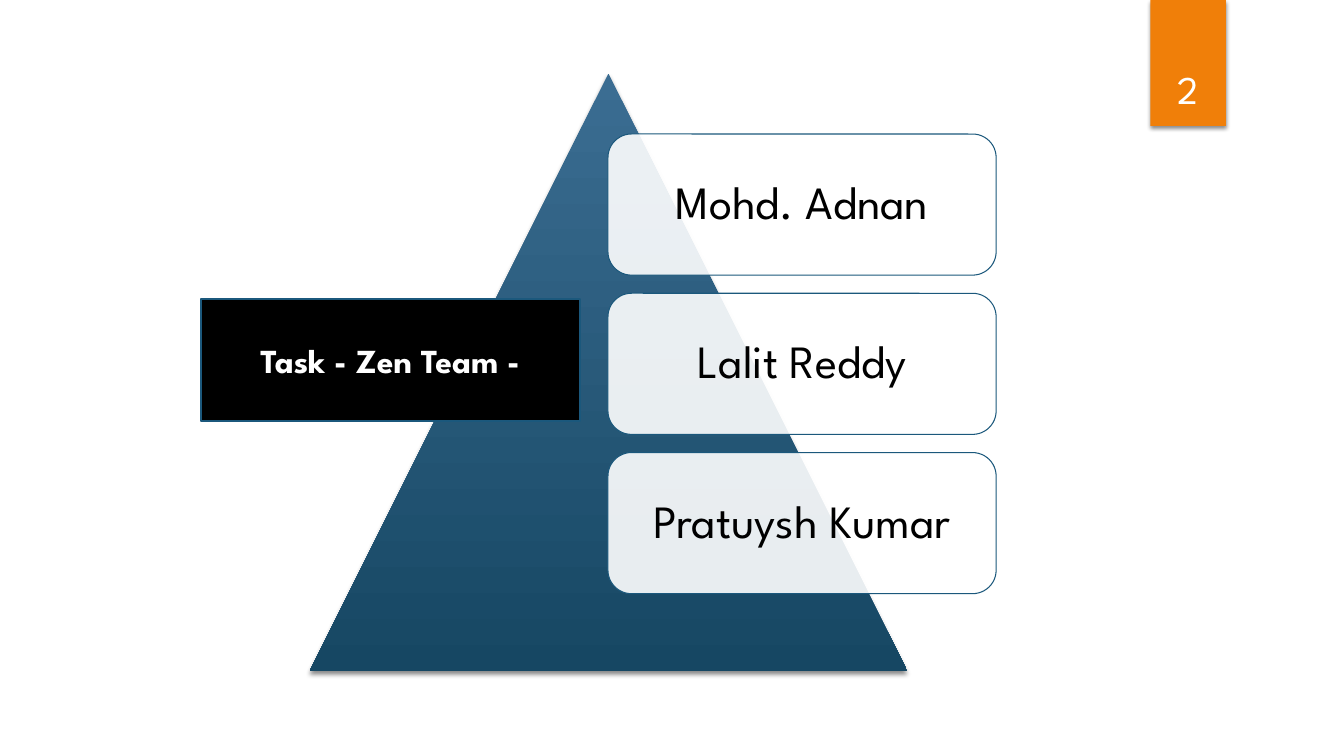
"""Build the Zen Team slide: a pyramid with three members and a task label."""
from lxml import etree
from pptx import Presentation
from pptx.dml.color import RGBColor
from pptx.enum.shapes import MSO_SHAPE as Preset
from pptx.enum.text import MSO_ANCHOR as Anchor, PP_ALIGN as Align
from pptx.oxml import parse_xml
from pptx.oxml.ns import nsdecls, qn
from pptx.util import Inches, Pt

MEMBERS = ["Mohd. Adnan", "Lalit Reddy", "Pratuysh Kumar"]
TASK = "Task - Zen Team -"
PAGE_NUMBER = "2"
FONT = "League Spartan"
COLORS = {
    "orange": "F07F09",
    "peak": "3B6D92",
    "base": "164763",
    "outline": "1B587C",
    "purple": "604878",
    "white": "FFFFFF",
    "black": "000000",
}
RIBBON = (11.41, 0, 0.75, 1.25)
NUMBER_BOX = (11.32, 0.32, 0.92, 0.84)
PYRAMID = (3.07, 0.73, 5.93, 5.93)
TASK_BOX = (1.99, 2.97, 3.76, 1.21)
CARD_LEFT, CARD_TOP, CARD_WIDTH, CARD_HEIGHT = 6.03, 1.33, 3.85, 1.4
CARD_PITCH = 1.58


def rgb(name):
    return RGBColor.from_string(COLORS[name])


def add_box(slide, preset, box, fill=None, line_width=None):
    shape = slide.shapes.add_shape(preset, *map(Inches, box))
    shape.shadow.inherit = False
    if fill:
        shape.fill.solid()
        shape.fill.fore_color.rgb = rgb(fill)
    if line_width:
        shape.line.color.rgb = rgb("outline")
        shape.line.width = Pt(line_width)
    else:
        shape.line.fill.background()
    return shape


def add_shadow(shape):
    effects = shape.element.spPr.find(qn("a:effectLst"))
    effects.append(parse_xml(
        f'<a:outerShdw {nsdecls("a")} blurRad="{Pt(3)}" dist="{Pt(2)}" dir="5400000" rotWithShape="0">'
        f'<a:srgbClr val="{COLORS["black"]}"><a:alpha val="45000"/></a:srgbClr></a:outerShdw>'))


def write(shape, text, size, color, anchor=Anchor.MIDDLE):
    frame = shape.text_frame
    frame.text = text
    frame.word_wrap = True
    frame.vertical_anchor = anchor
    paragraph = frame.paragraphs[0]
    paragraph.alignment = Align.CENTER
    font = paragraph.runs[0].font
    font.name = FONT
    font.size = Pt(size)
    font.color.rgb = rgb(color)
    return paragraph


def add_pyramid(slide):
    pyramid = add_box(slide, Preset.ISOSCELES_TRIANGLE, PYRAMID)
    pyramid.fill.gradient()
    pyramid.fill.gradient_angle = 270
    for stop, position, name in zip(pyramid.fill.gradient_stops, (0, 1), ("peak", "base")):
        stop.position = position
        stop.color.rgb = rgb(name)
    add_shadow(pyramid)


def add_card(slide, index, member):
    box = (CARD_LEFT, CARD_TOP + index * CARD_PITCH, CARD_WIDTH, CARD_HEIGHT)
    card = add_box(slide, Preset.ROUNDED_RECTANGLE, box, "white", 0.75)
    color = card.element.spPr.find(qn("a:solidFill")).find(qn("a:srgbClr"))
    etree.SubElement(color, qn("a:alpha")).set("val", "90000")
    paragraph = write(card, member, 33, "black")
    paragraph.line_spacing = 0.9
    paragraph.space_after = Pt(11.5)
    frame = card.text_frame
    frame.margin_left = frame.margin_right = Inches(0.14)
    frame.margin_top = frame.margin_bottom = Inches(0.14)


def add_task(slide):
    label = add_box(slide, Preset.RECTANGLE, TASK_BOX, "black", 1.5)
    run = write(label, TASK, 24, "white").runs[0]
    run.font.bold = True
    run.font.element.insert(0, parse_xml(
        f'<a:ln {nsdecls("a")} w="{Pt(0.8)}"><a:solidFill>'
        f'<a:srgbClr val="{COLORS["purple"]}"/></a:solidFill></a:ln>'
    )) if hasattr(run.font, "element") else run.font._element.insert(0, parse_xml(
        f'<a:ln {nsdecls("a")} w="{Pt(0.8)}"/>')) if hasattr(run.font, "_element") else None


def main():
    presentation = Presentation()
    presentation.slide_width, presentation.slide_height = Inches(13.33), Inches(7.5)
    slide = presentation.slides.add_slide(presentation.slide_layouts[6])
    add_shadow(add_box(slide, Preset.RECTANGLE, RIBBON, "orange"))
    add_pyramid(slide)
    for index, member in enumerate(MEMBERS):
        add_card(slide, index, member)
    add_task(slide)
    number = slide.shapes.add_textbox(*map(Inches, NUMBER_BOX))
    write(number, PAGE_NUMBER, 28, "white", Anchor.BOTTOM)
    presentation.save("out.pptx")


if __name__ == "__main__":
    main()
